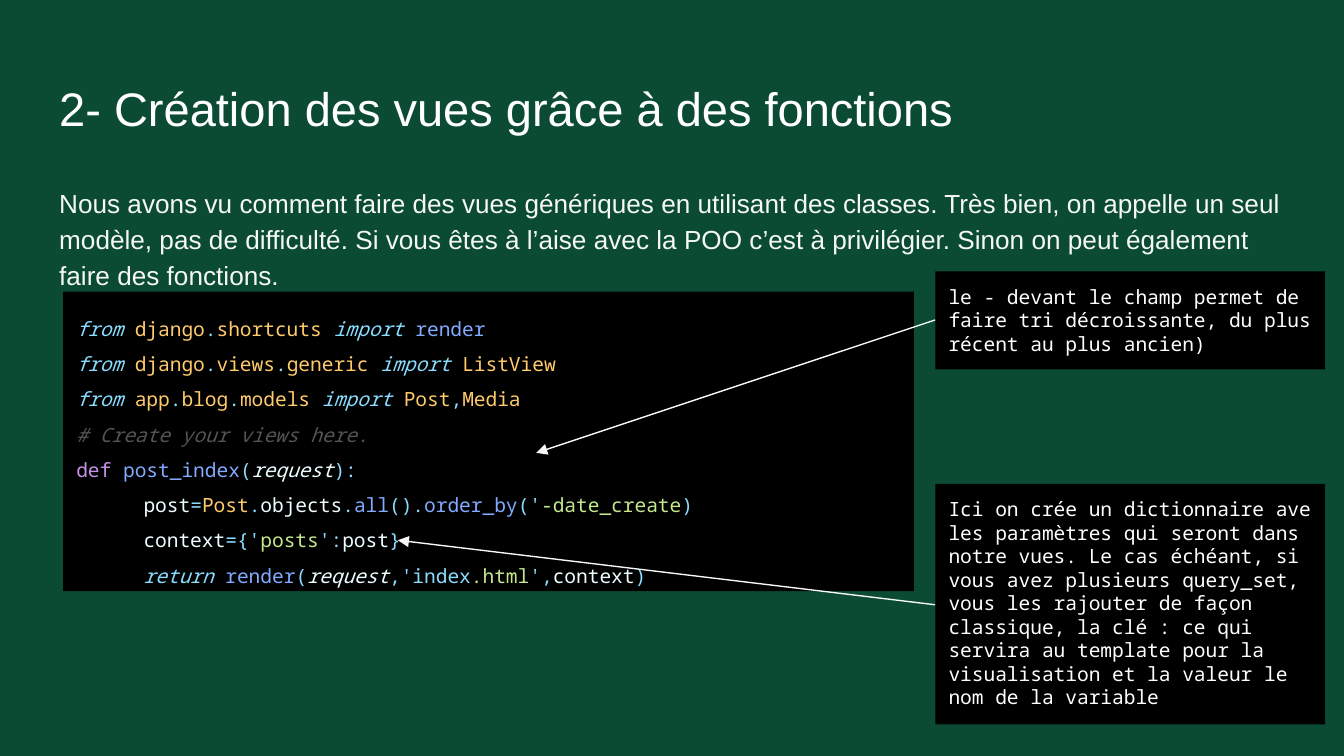
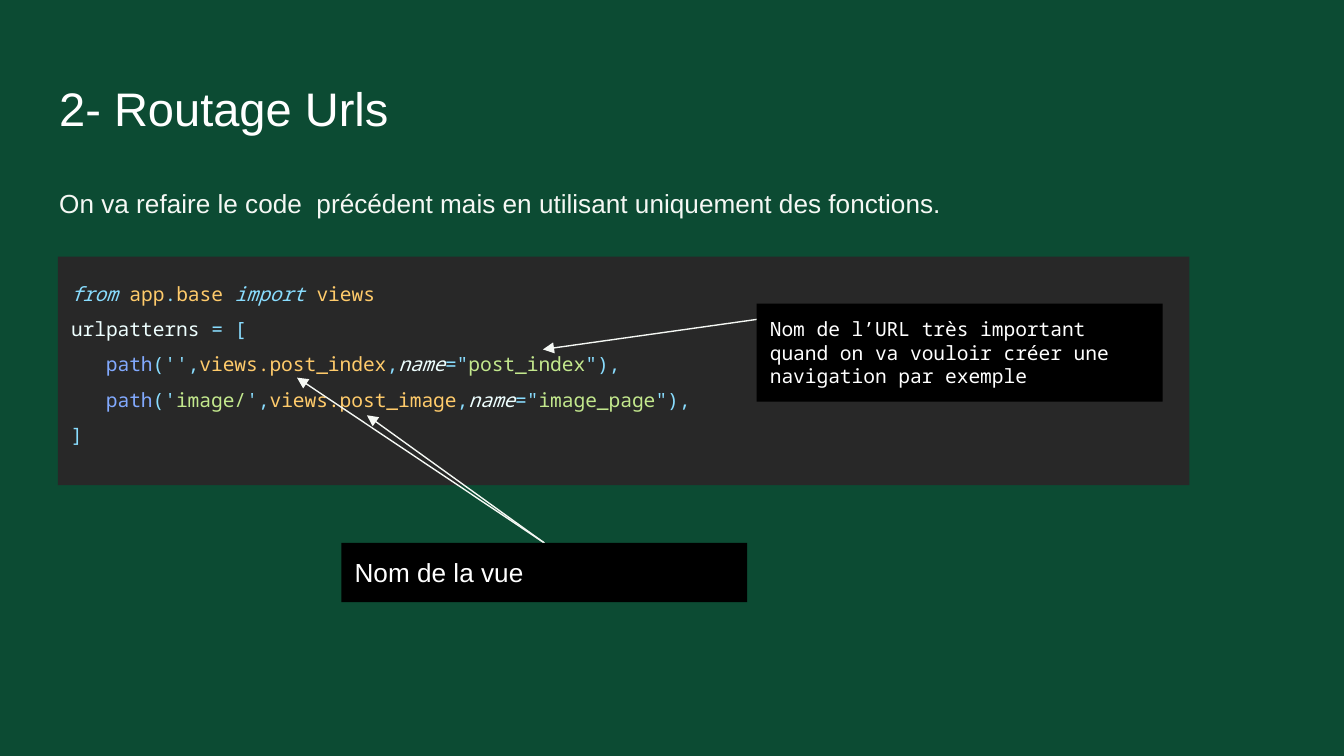
from lxml import etree
from pptx import Presentation
from pptx.dml.color import RGBColor
from pptx.enum import shapes, text
from pptx.oxml import ns
from pptx.util import Inches, Pt


class Theme:
    background = RGBColor.from_string("0C4B33")
    title = RGBColor.from_string("FFFFFF")
    body = RGBColor.from_string("F5F8F4")
    note_fill = "000000"
    sans, mono = "Arial", "Noto Sans Mono"
    title_size, body_size, code_size = Pt(25.2), Pt(14), Pt(10.5)
    line_width = Pt(0.75)
    inset = Inches(0.1)
    # token role: (colour, italic)
    syntax = {
        "key": ("89DDFF", True),
        "def": ("C792EA", False),
        "op": ("89DDFF", False),
        "type": ("FFCB6B", False),
        "call": ("82AAFF", False),
        "str": ("C3E88D", False),
        "var": ("EEFFFF", False),
        "arg": ("EEFFFF", True),
        "comment": ("545454", True),
    }


# A code line is (indent in inches, [(role, text), ...]).
# A note is (box, text, font, size, [(arrow start, arrow end), ...]).
SLIDES = [
    {
        "title": "2- Création des vues grâce à des fonctions",
        "intro": "Nous avons vu comment faire des vues génériques en utilisant des classes. "
                 "Très bien, on appelle un seul modèle, pas de difficulté. Si vous êtes à l’aise "
                 "avec la POO c’est à privilégier. Sinon on peut également faire des fonctions.",
        "intro_height": 1.18,
        "code_box": (0.47, 2.17, 6.33, 2.23),
        "code_fill": "000000",
        "code": [
            (0, [("key", "from "), ("type", "django"), ("op", "."), ("type", "shortcuts "),
                 ("key", "import "), ("call", "render")]),
            (0, [("key", "from "), ("type", "django"), ("op", "."), ("type", "views"), ("op", "."),
                 ("type", "generic "), ("key", "import "), ("type", "ListView")]),
            (0, [("key", "from "), ("type", "app"), ("op", "."), ("type", "blog"), ("op", "."),
                 ("type", "models "), ("key", "import "), ("type", "Post"), ("op", ","),
                 ("type", "Media")]),
            (0, [("comment", "# Create your views here.")]),
            (0, [("def", "def "), ("call", "post_index"), ("op", "("), ("arg", "request"),
                 ("op", "):")]),
            (0.5, [("var", "post"), ("op", "="), ("type", "Post"), ("op", "."), ("var", "objects"),
                   ("op", "."), ("call", "all"), ("op", "()."), ("call", "order_by"), ("op", "('"),
                   ("str", "-date_create"), ("op", ")")]),
            (0.5, [("var", "context"), ("op", "={'"), ("str", "posts"), ("op", "':"),
                   ("var", "post"), ("op", "}")]),
            (0.5, [("key", "return "), ("call", "render"), ("op", "("), ("arg", "request"),
                   ("op", ",'index"), ("str", ".html"), ("op", "',"), ("var", "context"),
                   ("op", ")")]),
        ],
        "notes": [
            ((6.96, 2.02, 2.9, 0.73),
             "le - devant le champ permet de faire tri décroissante, du plus récent au plus ancien)",
             Theme.mono, Theme.code_size, [((6.96, 2.38), (3.99, 3.37))]),
            ((6.96, 3.6, 2.9, 1.79),
             "Ici on crée un dictionnaire ave les paramètres qui seront dans notre vues. "
             "Le cas échéant, si vous avez plusieurs query_set, vous les rajouter de façon "
             "classique, la clé : ce qui servira au template pour la visualisation et la valeur "
             "le nom de la variable",
             Theme.mono, Theme.code_size, [((6.96, 4.5), (2.96, 4.02))]),
        ],
    },
    {
        "title": "2- Routage Urls",
        "intro": "On va refaire le code  précédent mais en utilisant uniquement des fonctions.",
        "intro_height": 0.52,
        "code_box": (0.43, 1.91, 8.42, 1.7),
        "code_fill": "282828",
        "code": [
            (0, [("key", "from "), ("type", "app"), ("op", "."), ("type", "base "),
                 ("key", "import "), ("type", "views")]),
            (0, [("var", "urlpatterns "), ("op", "= [")]),
            (0.26, [("call", "path"), ("op", "('',"), ("type", "views.post_index"), ("op", ","),
                    ("arg", "name"), ("op", '="'), ("str", "post_index"), ("op", '"),')]),
            (0.26, [("call", "path"), ("op", "('"), ("str", "image/"), ("op", "',"),
                    ("type", "views.post_image"), ("op", ","), ("arg", "name"), ("op", '="'),
                    ("str", "image_page"), ("op", '"),')]),
            (0, [("op", "]")]),
        ],
        "notes": [
            ((2.54, 4.04, 3.02, 0.44), "Nom de la vue", Theme.sans, Theme.body_size,
             [((4.05, 4.04), (2.73, 3.09)), ((4.05, 4.04), (2.21, 2.81))]),
            ((5.63, 2.26, 3.02, 0.73),
             "Nom de l’URL très important quand on va vouloir créer une navigation par exemple",
             Theme.mono, Theme.code_size, [((5.68, 2.37), (4.04, 2.6))]),
        ],
    },
]


def set_frame(shape, box, anchor=text.MSO_ANCHOR.TOP):
    """Place a shape and give its text frame the common insets; return the frame."""
    shape.left, shape.top, shape.width, shape.height = map(Inches, box)
    frame = shape.text_frame
    frame.word_wrap = True
    frame.auto_size = text.MSO_AUTO_SIZE.NONE
    frame.vertical_anchor = anchor
    frame.margin_left = frame.margin_right = Theme.inset
    frame.margin_top = frame.margin_bottom = Theme.inset
    return frame


def add_panel(slide, box, fill):
    panel = slide.shapes.add_shape(shapes.MSO_SHAPE.RECTANGLE, *map(Inches, box))
    panel.shadow.inherit = False
    panel.fill.solid()
    panel.fill.fore_color.rgb = RGBColor.from_string(fill)
    panel.line.fill.background()
    return set_frame(panel, box)


prs = Presentation()
prs.slide_width = Inches(10)
prs.slide_height = prs.slide_width * 9 // 16
master_fill = prs.slide_master.background.fill
master_fill.solid()
master_fill.fore_color.rgb = Theme.background

for content in SLIDES:
    slide = prs.slides.add_slide(prs.slide_layouts[1])
    heading, intro = slide.placeholders

    frame = set_frame(heading, (0.34, 0.49, 9.32, 0.63), text.MSO_ANCHOR.MIDDLE)
    frame.text = content["title"]
    line = frame.paragraphs[0]
    line.alignment = text.PP_ALIGN.LEFT
    line.font.name, line.font.size = Theme.sans, Theme.title_size
    line.font.color.rgb = Theme.title

    frame = set_frame(intro, (0.34, 1.26, 9.32, content["intro_height"]))
    frame.text = content["intro"]
    line = frame.paragraphs[0]
    line.line_spacing = 1.15
    line.space_before, line.space_after = Pt(0), Pt(12)
    line.font.name, line.font.size = Theme.sans, Theme.body_size
    line.font.color.rgb = Theme.body
    properties = line._p.get_or_add_pPr()
    properties.set("marL", "0")
    properties.set("indent", "0")
    bullet = etree.Element(ns.qn("a:buNone"))
    properties.find(ns.qn("a:spcAft")).addnext(bullet)

    frame = add_panel(slide, content["code_box"], content["code_fill"])
    for number, (indent, tokens) in enumerate(content["code"]):
        line = frame.add_paragraph() if number else frame.paragraphs[0]
        line.alignment = text.PP_ALIGN.LEFT
        line.line_spacing = 1.5
        line.font.name, line.font.size = Theme.mono, Theme.code_size
        line._p.get_or_add_pPr().set("marL", str(Inches(indent)))
        for role, word in tokens:
            colour, italic = Theme.syntax[role]
            token = line.add_run()
            token.text = word
            token.font.italic = italic
            token.font.color.rgb = RGBColor.from_string(colour)

    for box, remark, font, size, arrows in content["notes"]:
        for start, end in arrows:
            arrow = slide.shapes.add_connector(
                shapes.MSO_CONNECTOR.STRAIGHT, *map(Inches, start + end))
            arrow.line.color.rgb = Theme.body
            arrow.line.width = Theme.line_width
            outline = arrow.line._get_or_add_ln()
            etree.SubElement(outline, ns.qn("a:tailEnd"), type="triangle")
            etree.SubElement(arrow._element.spPr, ns.qn("a:effectLst"))

        frame = add_panel(slide, box, Theme.note_fill)
        frame.text = remark
        line = frame.paragraphs[0]
        line.alignment = text.PP_ALIGN.LEFT
        line.font.name, line.font.size = font, size
        line.font.color.rgb = Theme.title

prs.save("out.pptx")
